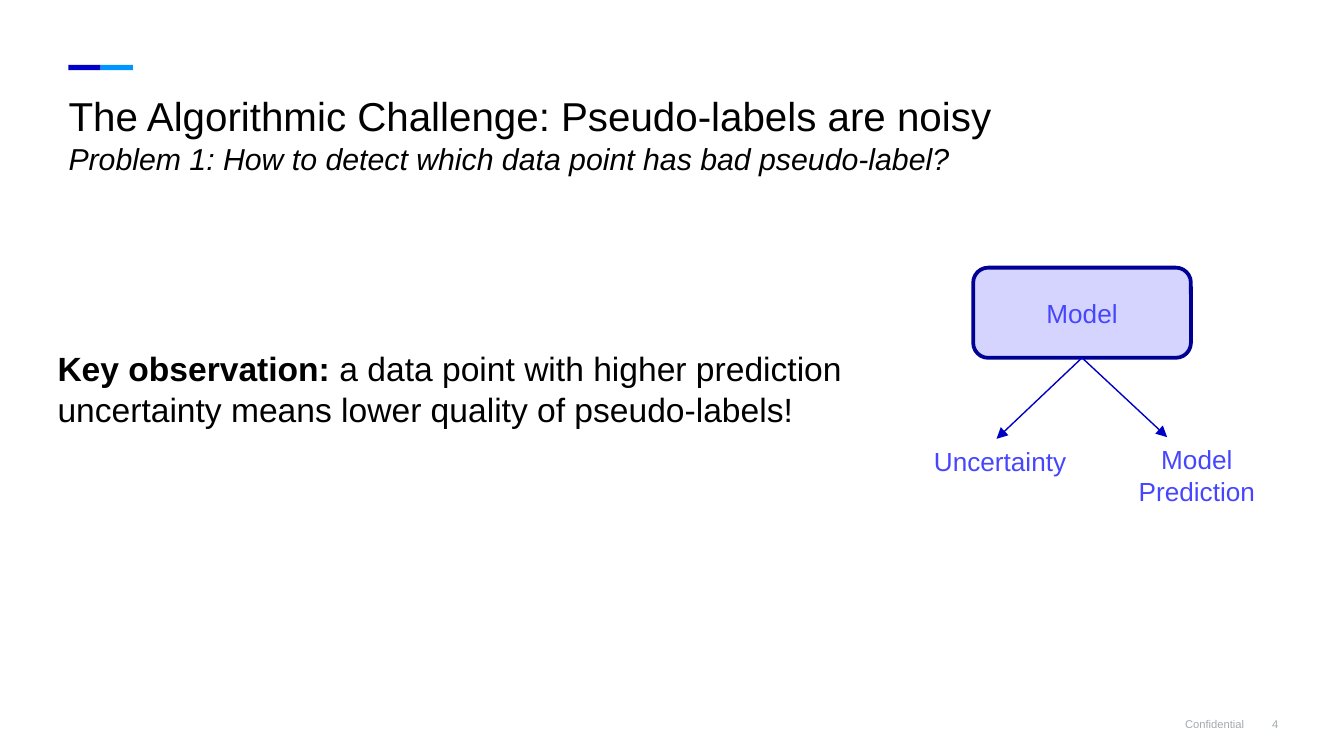
import pptx
import pptx.util
import pptx.dml.color
import pptx.enum.shapes
import pptx.enum.text
import pptx.oxml.ns
from lxml import etree

W = 10
H = W * 9 / 16
FONT = "Arial"
BLACK, GREY, VIOLET = "000000", "A1AAB1", "4646FF"
ALIGN = pptx.enum.text.PP_ALIGN
ANCHOR = pptx.enum.text.MSO_ANCHOR
SHAPE = pptx.enum.shapes.MSO_SHAPE


def color(value):
    return pptx.dml.color.RGBColor.from_string(value)


def within(box, x, y, w, h):
    """Turn shares of a box into a box in inches."""
    left, top, width, height = box
    return left + x * width, top + y * height, w * width, h * height


def emu(box):
    return [pptx.util.Inches(v) for v in box]


def style(p, size, hex_color, align=ALIGN.LEFT):
    p.alignment = align
    for r in p.runs:
        r.font.name = FONT
        r.font.size = pptx.util.Pt(size)
        r.font.color.rgb = color(hex_color)


def add_text(s, box, text, size, hex_color, align=ALIGN.LEFT, anchor=ANCHOR.TOP):
    sp = s.shapes.add_textbox(*emu(box))
    tf = sp.text_frame
    tf.word_wrap = True
    tf.vertical_anchor = anchor
    tf.text = text
    style(tf.paragraphs[0], size, hex_color, align)
    return sp


def add_box(s, box, kind, fill):
    sp = s.shapes.add_shape(kind, *emu(box))
    sp.shadow.inherit = False
    sp.fill.solid()
    sp.fill.fore_color.rgb = color(fill)
    sp.line.fill.background()
    return sp


def add_arrow(s, start, x, y):
    """Arrow from the bottom of a shape to a point."""
    c = s.shapes.add_connector(pptx.enum.shapes.MSO_CONNECTOR.STRAIGHT,
                               0, 0, *emu((x, y)))
    c.begin_connect(start, 2)
    c.line.color.rgb = color("0000C5")
    c.line.width = pptx.util.Pt(0.75)
    qn = pptx.oxml.ns.qn
    etree.SubElement(c.line._get_or_add_ln(), qn("a:tailEnd"), type="triangle")
    etree.SubElement(c._element.spPr, qn("a:effectLst"))
    return c


def accent_bar(s, box):
    for i, fill in enumerate(("0000C9", "0095FF")):
        add_box(s, within(box, i / 2, 0, 1 / 2, 1), SHAPE.RECTANGLE, fill)


def heading(s, box, title, subtitle):
    sp = s.shapes.title
    sp.left, sp.top, sp.width, sp.height = emu(box)
    tf = sp.text_frame
    tf.word_wrap = True
    tf.auto_size = pptx.enum.text.MSO_AUTO_SIZE.NONE
    tf.vertical_anchor = ANCHOR.TOP
    tf.margin_top = tf.margin_bottom = pptx.util.Inches(0.09)
    tf.text = f"{title}\n{subtitle}"
    for p, size in zip(tf.paragraphs, (21.6, 16.2)):
        style(p, size, BLACK)
    tf.paragraphs[1].runs[0].font.italic = True


def observation(s, box, lead, rest):
    p = add_text(s, box, lead, 18, BLACK).text_frame.paragraphs[0]
    p.add_run().text = rest
    style(p, 18, BLACK)
    p.runs[0].font.bold = True


def model_diagram(s, box):
    # Model
    model = add_box(s, within(box, 0.167, 0, 0.587, 0.366),
                    SHAPE.ROUNDED_RECTANGLE, "D4D4FF")
    model.line.color.rgb = color("000095")
    model.line.width = pptx.util.Pt(2)
    tf = model.text_frame
    tf.vertical_anchor = ANCHOR.MIDDLE
    tf.text = "Model"
    style(tf.paragraphs[0], 14, VIOLET, ALIGN.CENTER)
    # Outputs
    uncertainty, _ = [
        add_text(s, within(box, x, y, 0.46, h), text, 14, VIOLET, ALIGN.CENTER)
        for x, y, h, text in ((0, 0.695, 0.19, " Uncertainty"),
                              (0.54, 0.688, 0.31, "Model Prediction"))]
    # Arrows
    x, y, _, _ = within(box, 0.69, 0.688, 0, 0)
    add_arrow(s, model, x, y)
    add_arrow(s, model, x, y).end_connect(uncertainty, 0)


def footer(s, box):
    for x, w, text in ((0, 0.81, "Confidential"), (0.55, 0.45, "4")):
        add_text(s, within(box, x, 0, w, 1), text, 6, GREY, ALIGN.RIGHT, ANCHOR.MIDDLE)


def main():
    prs = pptx.Presentation()
    prs.slide_width, prs.slide_height = emu((W, H))
    s = prs.slides.add_slide(prs.slide_layouts[5])
    page = (0, 0, W, H)
    accent_bar(s, within(page, 0.051, 0.086, 0.048, 0.007))
    heading(s, within(page, 0.041, 0.105, 0.765, 0.105),
            "The Algorithmic Challenge: Pseudo-labels are noisy",
            "Problem 1: How to detect which data point has bad pseudo-label?")
    observation(s, within(page, 0.033, 0.452, 0.61, 0.126), "Key observation: ",
                "a data point with higher prediction uncertainty means "
                "lower quality of pseudo-labels!")
    model_diagram(s, within(page, 0.678, 0.354, 0.276, 0.326))
    footer(s, within(page, 0.827, 0.919, 0.134, 0.077))
    prs.save("out.pptx")


if __name__ == "__main__":
    main()
